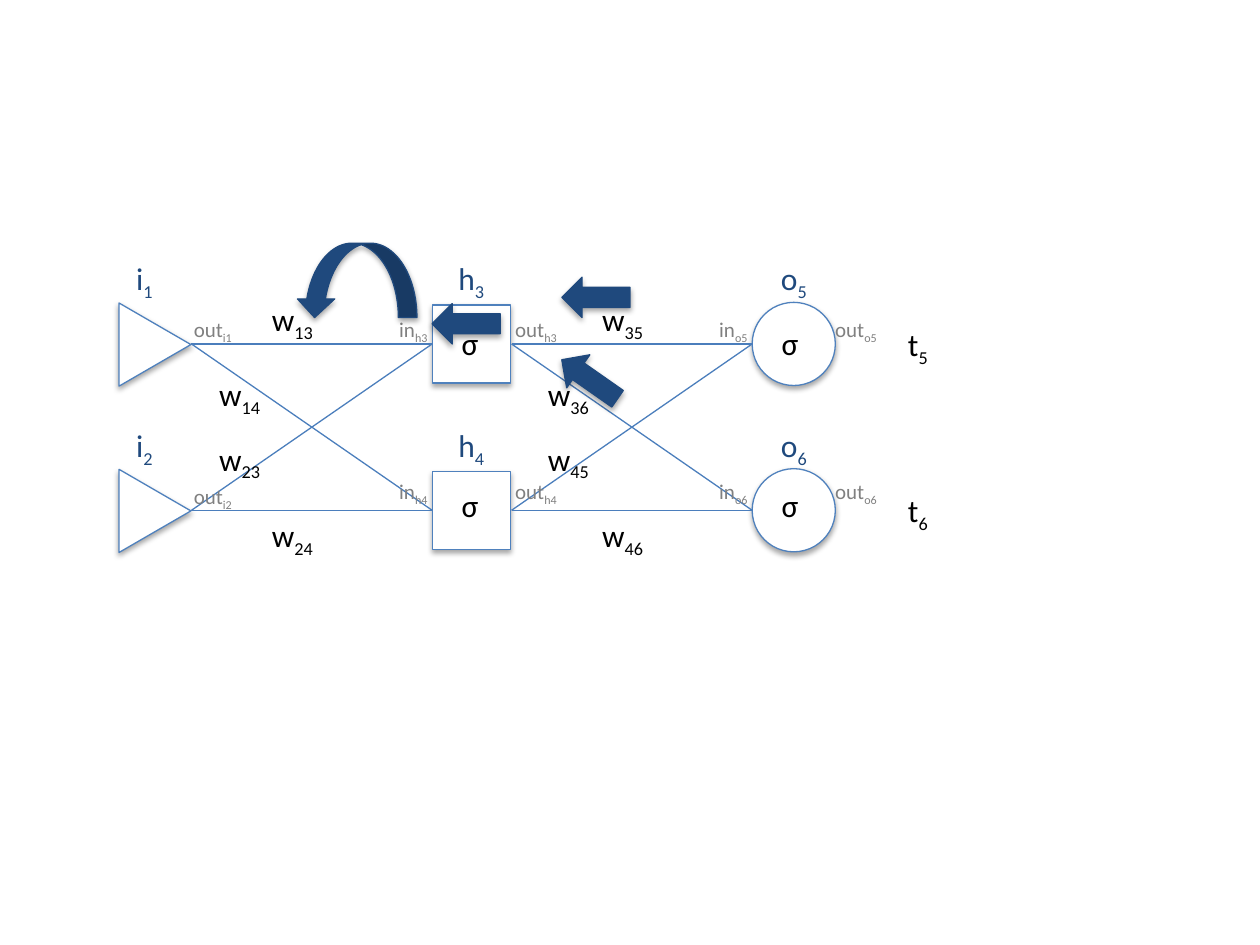
import dataclasses
import itertools
import typing

import pptx
import pptx.dml.color
import pptx.enum.shapes
import pptx.enum.text
import pptx.oxml
import pptx.oxml.ns
import pptx.util

SHAPE = pptx.enum.shapes.MSO_SHAPE
ALIGN = pptx.enum.text.PP_ALIGN


def color(value: str) -> pptx.dml.color.RGBColor:
    return pptx.dml.color.RGBColor.from_string(value)


@dataclasses.dataclass(frozen=True)
class Theme:
    font: str = "Calibri"
    navy: str = "1F497D"
    outline: str = "4F81BD"
    link: str = "4B7EBC"
    white: str = "FFFFFF"
    black: str = "000000"
    gray: str = "808080"
    label_size: int = 18
    port_size: int = 12
    line_width: float = 0.75
    subscript: str = "-25000"


@dataclasses.dataclass(frozen=True)
class Grid:
    columns: int = 100
    rows: int = 75
    width: int = pptx.util.Inches(10)
    height: int = pptx.util.Inches(7.5)

    def x(self, columns: float) -> int:
        return round(self.width * columns / self.columns)

    def y(self, rows: float) -> int:
        return round(self.height * rows / self.rows)


@dataclasses.dataclass(frozen=True)
class Figure:
    kind: SHAPE
    column: float
    row: float
    columns: float
    rows: float
    rotation: float = 0
    flipped: bool = False


@dataclasses.dataclass(frozen=True)
class LabelPair:
    name: str
    subscripts: tuple[str, str]
    column: float
    row: float
    columns: float
    pitch: float
    color: str
    size: int
    alignment: ALIGN = ALIGN.LEFT


THEME = Theme()
GRID = Grid()
LAYER_PITCH = 13.2
PORT_PITCH = 12.9
UNIT_ROWS = (27.3, 27.3 + LAYER_PITCH)
LINK_SPANS = ((15.2, 34.3), (40.6, 59.7))

UNITS = (
    Figure(SHAPE.ISOSCELES_TRIANGLE, 9, 24.5, 6.6, 5.7, rotation=90),
    Figure(SHAPE.RECTANGLE, 34.3, 24.2, 6.2, 6.2),
    Figure(SHAPE.OVAL, 59.7, 24, 6.6, 6.6),
)
ARROWS = (
    Figure(SHAPE.CURVED_DOWN_ARROW, 23.5, 19.3, 9.6, 5.9, flipped=True),
    Figure(SHAPE.LEFT_ARROW, 34.3, 24.1, 5.4, 3.2),
    Figure(SHAPE.LEFT_ARROW, 44.6, 22, 5.4, 3.2),
    Figure(SHAPE.LEFT_ARROW, 44.1, 28.5, 5.4, 3.2, rotation=35),
)


def unit_name(name: str, subscripts: tuple[str, str], column: float, columns: float) -> LabelPair:
    return LabelPair(name, subscripts, column, 20.1, columns, LAYER_PITCH,
                     THEME.navy, THEME.label_size, ALIGN.CENTER)


def weight(subscripts: tuple[str, str], column: float, row: float, pitch: float) -> LabelPair:
    return LabelPair("w", subscripts, column, row, 5.5, pitch, THEME.black, THEME.label_size)


def port(name: str, subscripts: tuple[str, str], column: float, columns: float,
         pitch: float = PORT_PITCH) -> LabelPair:
    return LabelPair(name, subscripts, column, 24.6, columns, pitch, THEME.gray, THEME.port_size)


def sigma(column: float) -> LabelPair:
    return LabelPair("σ", ("", ""), column, 25.2, 3.4, PORT_PITCH,
                     THEME.black, THEME.label_size, ALIGN.CENTER)


LABELS = (
    unit_name("i", ("1", "2"), 9.7, 3.5),
    unit_name("h", ("3", "4"), 35.3, 4.2),
    unit_name("o", ("5", "6"), 60.9, 4.2),
    weight(("13", "24"), 20.6, 23.3, 17.2),
    weight(("35", "46"), 46.8, 23.3, 17.2),
    weight(("14", "23"), 16.4, 29.3, 5.1),
    weight(("36", "45"), 42.5, 29.3, 5.1),
    LabelPair("t", ("5", "6"), 71, 25.3, 3.7, LAYER_PITCH,
              THEME.black, THEME.label_size, ALIGN.CENTER),
    port("in", ("h3", "h4"), 30.7, 4.4),
    port("out", ("h3", "h4"), 39.9, 5.5),
    sigma(35.6),
    port("in", ("o5", "o6"), 56.1, 4.4),
    port("out", ("o5", "o6"), 65.3, 5.5),
    sigma(61),
    port("out", ("i1", "i2"), 14.4, 5.2, 13.3),
)


def apply_format(target: typing.Any, values: dict[str, typing.Any]) -> None:
    for name, value in values.items():
        setattr(target, name, value)


def draw_figure(slide: typing.Any, figure: Figure, fill: str, outline: str,
                row_offset: float = 0) -> None:
    shape = slide.shapes.add_shape(
        figure.kind, GRID.x(figure.column), GRID.y(figure.row + row_offset),
        GRID.x(figure.columns), GRID.y(figure.rows))
    shape.rotation = figure.rotation
    shape.fill.solid()
    shape.fill.fore_color.rgb = color(fill)
    shape.line.color.rgb = color(outline)
    shape.line.width = pptx.util.Pt(THEME.line_width)
    if figure.flipped:
        shape._element.spPr.get_or_add_xfrm().set("flipH", "1")


def draw_link(slide: typing.Any, span: tuple[float, float], start: float, end: float) -> None:
    connector = slide.shapes.add_connector(
        pptx.enum.shapes.MSO_CONNECTOR.STRAIGHT,
        GRID.x(span[0]), GRID.y(start), GRID.x(span[1]), GRID.y(end))
    connector.line.color.rgb = color(THEME.link)
    connector.line.width = pptx.util.Pt(THEME.line_width)
    namespace = pptx.oxml.ns.nsdecls("a")
    connector._element.spPr.append(pptx.oxml.parse_xml(f"<a:effectLst {namespace}/>"))


def draw_labels(slide: typing.Any, pair: LabelPair) -> None:
    rows = 4 if pair.size == THEME.label_size else 3
    for index, subscript in enumerate(pair.subscripts):
        box = slide.shapes.add_textbox(
            GRID.x(pair.column), GRID.y(pair.row + index * pair.pitch),
            GRID.x(pair.columns), GRID.y(rows))
        apply_format(box.text_frame, {
            "word_wrap": False,
            "auto_size": pptx.enum.text.MSO_AUTO_SIZE.SHAPE_TO_FIT_TEXT,
        })
        paragraph = box.text_frame.paragraphs[0]
        paragraph.alignment = pair.alignment
        for text in filter(None, (pair.name, subscript)):
            run = paragraph.add_run()
            run.text = text
            apply_format(run.font, {"name": THEME.font, "size": pptx.util.Pt(pair.size)})
            run.font.color.rgb = color(pair.color)
            if text == subscript:
                run._r.get_or_add_rPr().set("baseline", THEME.subscript)


def main() -> None:
    presentation = pptx.Presentation()
    apply_format(presentation, {"slide_width": GRID.width, "slide_height": GRID.height})
    slide = presentation.slides.add_slide(presentation.slide_layouts[6])
    for row_offset, unit in itertools.product((0, LAYER_PITCH), UNITS):
        draw_figure(slide, unit, THEME.white, THEME.outline, row_offset)
    for span, start, end in itertools.product(LINK_SPANS, UNIT_ROWS, UNIT_ROWS):
        draw_link(slide, span, start, end)
    for pair in LABELS:
        draw_labels(slide, pair)
    for arrow in ARROWS:
        draw_figure(slide, arrow, THEME.navy, THEME.navy)
    presentation.save("out.pptx")


if __name__ == "__main__":
    main()
